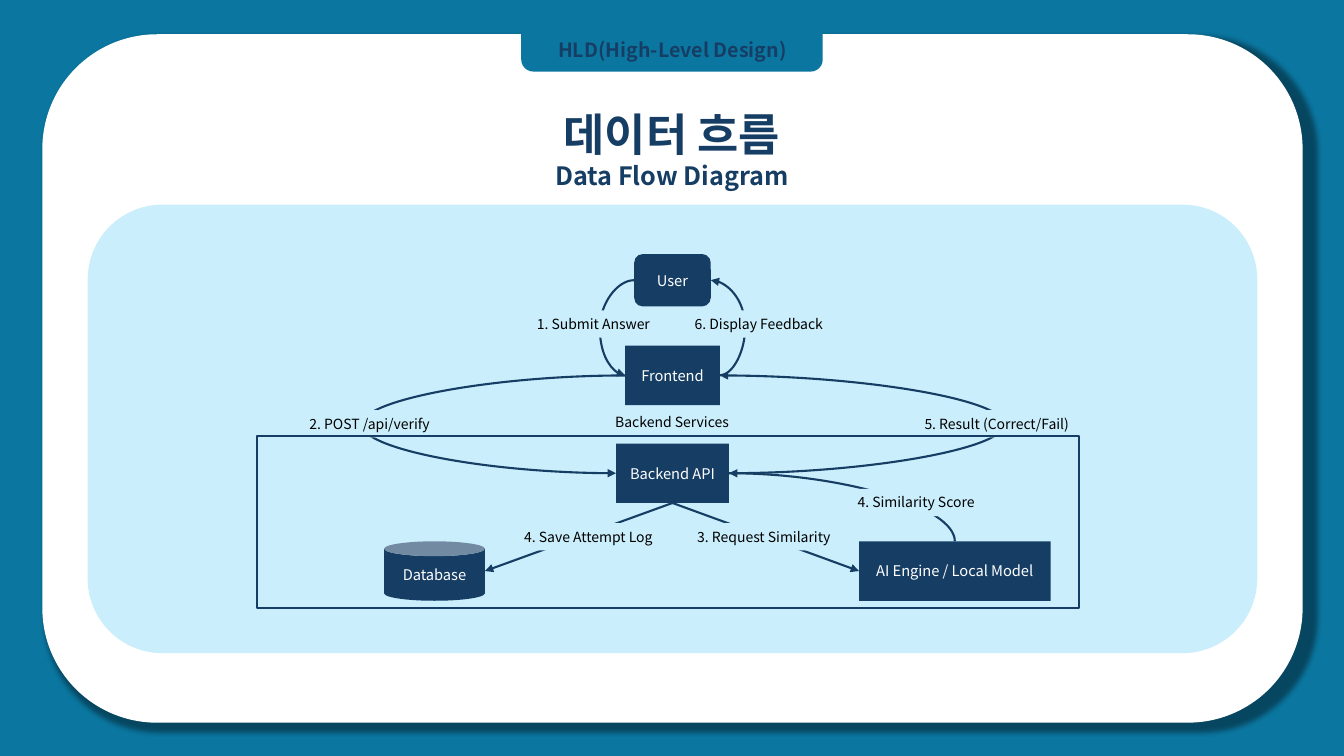
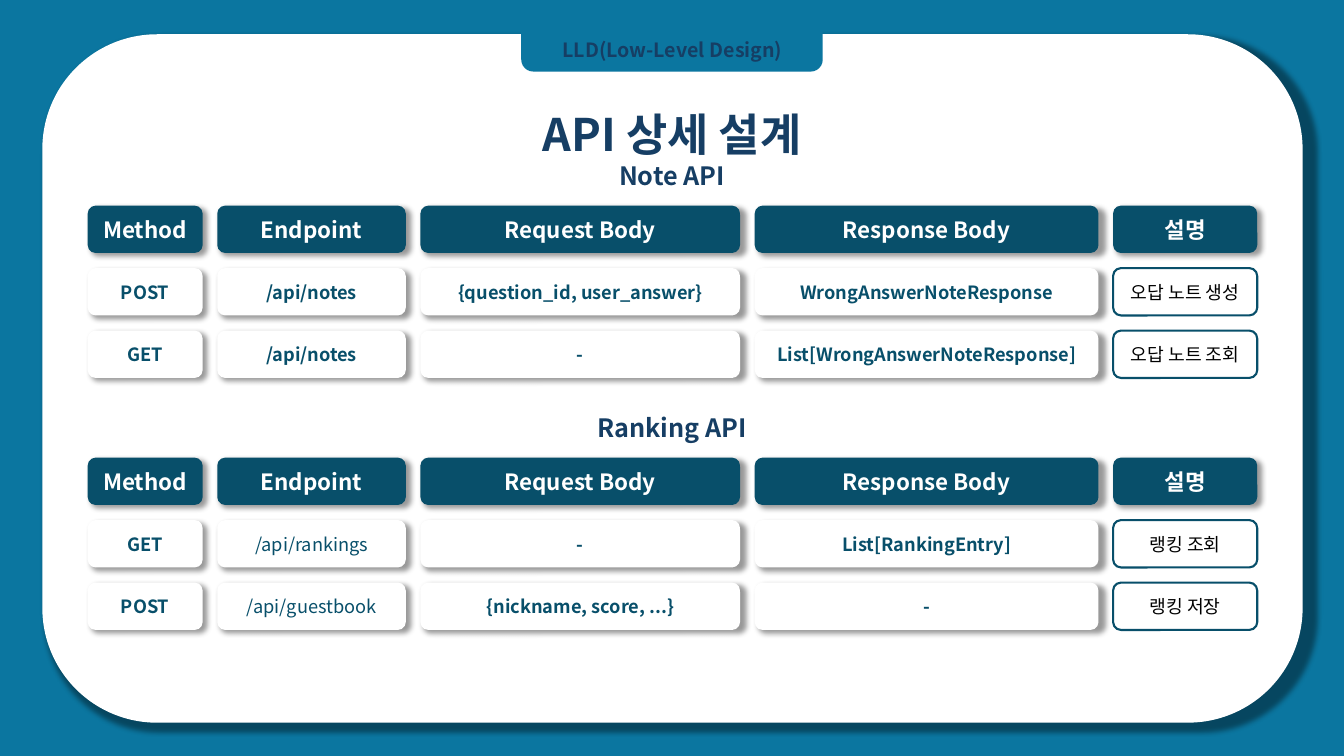
from dataclasses import dataclass
from typing import Optional

from lxml.etree import SubElement
from pptx import Presentation
from pptx.dml.color import RGBColor
from pptx.enum.shapes import MSO_CONNECTOR, MSO_SHAPE
from pptx.enum.text import MSO_ANCHOR, MSO_AUTO_SIZE, PP_ALIGN
from pptx.oxml.ns import qn
from pptx.util import Inches, Pt

FONT = "Noto Sans CJK KR"
COLORS = {
    "blue": "0B76A0",
    "teal": "084F6A",
    "navy": "163E64",
    "sky": "CAEEFB",
    "white": "FFFFFF",
    "black": "000000",
}
TOP, LEFT, BOTTOM, RIGHT = range(4)


@dataclass(frozen=True)
class Box:
    x: float
    y: float
    w: float
    h: float

    def lengths(self) -> tuple:
        return tuple(Inches(v) for v in (self.x, self.y, self.w, self.h))

    def side(self, site: int) -> tuple:
        mid_x, mid_y = self.x + self.w / 2, self.y + self.h / 2
        return {
            TOP: (mid_x, self.y),
            LEFT: (self.x, mid_y),
            BOTTOM: (mid_x, self.y + self.h),
            RIGHT: (self.x + self.w, mid_y),
        }[site]


@dataclass(frozen=True)
class Node:
    text: str
    box: Box
    kind: MSO_SHAPE = MSO_SHAPE.RECTANGLE


@dataclass(frozen=True)
class Link:
    start: str
    start_site: int
    end: str
    end_site: int
    bend_x: Optional[float] = None
    corner: bool = False


@dataclass(frozen=True)
class Label:
    text: str
    box: Box


@dataclass(frozen=True)
class ApiTable:
    top: float
    rows: tuple
    bold_endpoint: bool


NODES = {
    "user": Node("User", Box(6.29, 2.52, 0.76, 0.52), MSO_SHAPE.ROUNDED_RECTANGLE),
    "frontend": Node("Frontend", Box(6.2, 3.43, 0.94, 0.59)),
    "backend": Node("Backend API", Box(6.11, 4.4, 1.12, 0.59)),
    "engine": Node("AI Engine / Local Model", Box(8.52, 5.37, 1.9, 0.59)),
    "database": Node("Database", Box(3.81, 5.37, 1, 0.59), MSO_SHAPE.CAN),
}
LINKS = [
    Link("user", LEFT, "frontend", LEFT, 5.95),
    Link("frontend", LEFT, "backend", LEFT, 3.59),
    Link("backend", BOTTOM, "database", RIGHT),
    Link("backend", BOTTOM, "engine", LEFT),
    Link("engine", TOP, "backend", RIGHT, corner=True),
    Link("backend", RIGHT, "frontend", RIGHT, 9.96),
    Link("frontend", RIGHT, "user", RIGHT, 7.39),
]
LABELS = [
    Label("1. Submit Answer", Box(5.1, 3.08, 1.57, 0.27)),
    Label("2. POST /api/verify", Box(2.88, 4.07, 1.57, 0.27)),
    Label("3. Request Similarity", Box(6.67, 5.19, 1.81, 0.27)),
    Label("4. Save Attempt Log", Box(4.93, 5.19, 1.81, 0.27)),
    Label("4. Similarity Score", Box(8.18, 4.85, 1.81, 0.27)),
    Label("5. Result (Correct/Fail)", Box(8.98, 4.07, 1.81, 0.27)),
    Label("6. Display Feedback", Box(6.74, 3.08, 1.57, 0.27)),
]
HEADERS = ("Method", "Endpoint", "Request Body", "Response Body", "설명")
WIDTHS = (1.14, 1.87, 3.17, 3.41, 1.43)
TABLE_LEFT, TABLE_WIDTH = 0.87, 11.6
CARD_HEIGHT, ROW_PITCH = 0.47, 0.62
TABLES = [
    ApiTable(2.04, (
        ("POST", "/api/notes", "{question_id, user_answer}", "WrongAnswerNoteResponse", "오답 노트 생성"),
        ("GET", "/api/notes", "-", "List[WrongAnswerNoteResponse]", "오답 노트 조회"),
    ), True),
    ApiTable(4.54, (
        ("GET", "/api/rankings", "-", "List[RankingEntry]", "랭킹 조회"),
        ("POST", "/api/guestbook", "{nickname, score, ...}", "-", "랭킹 저장"),
    ), False),
]


def rgb(name: str) -> RGBColor:
    return RGBColor.from_string(COLORS[name])


def write(p, text: str, *, size: float, color: str, bold: bool = False) -> None:
    p.alignment = PP_ALIGN.CENTER
    p.line_spacing = 1.0
    p.space_before = Pt(0)
    r = p.add_run()
    r.text = text
    r.font.size = Pt(size)
    r.font.bold = bold
    r.font.name = FONT
    r.font.color.rgb = rgb(color)
    SubElement(r.font._element, qn("a:ea")).set("typeface", FONT)


def set_frame(sp, *, anchor=MSO_ANCHOR.TOP, fit=MSO_AUTO_SIZE.SHAPE_TO_FIT_TEXT):
    tf = sp.text_frame
    tf.word_wrap = True
    tf.vertical_anchor = anchor
    tf.auto_size = fit
    return tf


def add_shadow(sp) -> None:
    effects = sp._element.spPr.find(qn("a:effectLst"))
    shadow = SubElement(effects, qn("a:outerShdw"), {
        "blurRad": str(Pt(4)), "dist": str(Pt(3)), "dir": "2700000",
        "sx": "101000", "sy": "101000", "algn": "tl", "rotWithShape": "0",
    })
    tint = SubElement(shadow, qn("a:srgbClr"), {"val": COLORS["black"]})
    SubElement(tint, qn("a:alpha"), {"val": "40000"})


def add_box(slide, kind, box: Box, *, fill: Optional[str] = None,
            line: Optional[str] = None, shadow: bool = False):
    sp = slide.shapes.add_shape(kind, *box.lengths())
    sp.shadow.inherit = False
    if fill:
        sp.fill.solid()
        sp.fill.fore_color.rgb = rgb(fill)
    else:
        sp.fill.background()
    if line:
        sp.line.color.rgb = rgb(line)
        sp.line.width = Pt(1.5)
    else:
        sp.line.fill.background()
    if shadow:
        add_shadow(sp)
    return sp


def add_text(slide, text: str, box: Box, **style) -> None:
    sp = slide.shapes.add_textbox(*box.lengths())
    write(set_frame(sp).paragraphs[0], text, **style)


def add_link(slide, link: Link, shapes: dict) -> None:
    start = NODES[link.start].box.side(link.start_site)
    end = NODES[link.end].box.side(link.end_site)
    curved = link.corner or link.bend_x is not None
    kind = MSO_CONNECTOR.CURVE if curved else MSO_CONNECTOR.STRAIGHT
    c = slide.shapes.add_connector(kind, *(Inches(v) for v in start + end))
    c.begin_connect(shapes[link.start], link.start_site)
    if NODES[link.end].kind != MSO_SHAPE.CAN:
        c.end_connect(shapes[link.end], link.end_site)
    c.line.color.rgb = rgb("navy")
    c.line.width = Pt(1.5)
    sp_pr = c._element.spPr
    SubElement(sp_pr.find(qn("a:ln")), qn("a:tailEnd"), {"type": "triangle"})
    SubElement(sp_pr, qn("a:effectLst"))
    geom = sp_pr.find(qn("a:prstGeom"))
    if link.bend_x is not None:
        ratio = (start[0] - link.bend_x) / (start[0] - end[0])
        guides = geom.find(qn("a:avLst"))
        SubElement(guides, qn("a:gd"), {"name": "adj1", "fmla": f"val {round(ratio * 100000)}"})
    if link.corner:
        geom.set("prst", "curvedConnector2")
        mid_x, mid_y = c.left + c.width // 2, c.top + c.height // 2
        c.width, c.height = c.height, c.width
        c.left, c.top = mid_x - c.width // 2, mid_y - c.height // 2
        xfrm = sp_pr.find(qn("a:xfrm"))
        xfrm.set("rot", "16200000")
        xfrm.set("flipH", "0")
        xfrm.set("flipV", "1")


def add_frame(prs, tag: str, title: str, subtitle: str):
    s = prs.slides.add_slide(prs.slide_layouts[5])
    heading = s.shapes.title
    panel = add_box(s, MSO_SHAPE.ROUNDED_RECTANGLE, Box(0.42, 0.34, 12.5, 6.83), fill="white", shadow=True)
    band = add_box(s, MSO_SHAPE.ROUND_2_SAME_RECTANGLE, Box(5.17, 0, 2.99, 0.71), fill="blue")
    band.rotation = 180
    add_text(s, tag, Box(5.3, 0.33, 2.74, 0.34), size=14, color="navy", bold=True)
    panel._element.addnext(heading._element)
    heading.left, heading.top, heading.width, heading.height = Box(4.25, 1.01, 4.83, 0.94).lengths()
    tf = set_frame(heading)
    write(tf.paragraphs[0], title, size=32, color="navy", bold=True)
    write(tf.add_paragraph(), subtitle, size=18, color="navy", bold=True)
    return s


def build_data_flow(prs) -> None:
    s = add_frame(prs, "HLD(High-Level Design)", "데이터 흐름", "Data Flow Diagram")
    add_box(s, MSO_SHAPE.ROUNDED_RECTANGLE, Box(0.87, 2.03, 11.6, 4.45), fill="sky")
    shapes = {}
    for key, node in NODES.items():
        sp = add_box(s, node.kind, node.box, fill="navy")
        tf = set_frame(sp, anchor=MSO_ANCHOR.MIDDLE, fit=MSO_AUTO_SIZE.NONE)
        write(tf.paragraphs[0], node.text, size=10.5, color="white")
        shapes[key] = sp
    for link in LINKS:
        add_link(s, link, shapes)
    for label in LABELS:
        sp = add_box(s, MSO_SHAPE.RECTANGLE, label.box, fill="sky")
        write(set_frame(sp).paragraphs[0], label.text, size=10, color="black")
    add_box(s, MSO_SHAPE.RECTANGLE, Box(2.55, 4.33, 8.15, 1.7), line="navy")
    add_text(s, "Backend Services", Box(5.76, 4.05, 1.81, 0.27), size=10, color="black")


def add_card(slide, text: str, box: Box, *, fill: Optional[str], **style) -> None:
    sp = add_box(slide, MSO_SHAPE.ROUNDED_RECTANGLE, box, fill=fill,
                 line=None if fill else "teal", shadow=fill is not None)
    tf = set_frame(sp, anchor=MSO_ANCHOR.MIDDLE, fit=MSO_AUTO_SIZE.NONE)
    write(tf.paragraphs[0], text, **style)


def add_api_table(slide, table: ApiTable) -> None:
    gap = (TABLE_WIDTH - sum(WIDTHS)) / (len(WIDTHS) - 1)
    for i, row in enumerate((HEADERS,) + table.rows):
        x = TABLE_LEFT
        for header, text, width in zip(HEADERS, row, WIDTHS):
            box = Box(x, table.top + i * ROW_PITCH, width, CARD_HEIGHT)
            if i == 0:
                add_card(slide, text, box, fill="teal", size=16, color="white", bold=True)
            elif header == HEADERS[-1]:
                add_card(slide, text, box, fill=None, size=13, color="black")
            else:
                bold = table.bold_endpoint or header != "Endpoint"
                add_card(slide, text, box, fill="white", size=13, color="teal", bold=bold)
            x += width + gap


def build_api_design(prs) -> None:
    s = add_frame(prs, "LLD(Low-Level Design)", "API 상세 설계", "Note API")
    for table in TABLES:
        add_api_table(s, table)
    add_text(s, "Ranking API", Box(5.38, 4.04, 2.57, 0.4), size=18, color="navy", bold=True)


def main() -> None:
    prs = Presentation()
    prs.slide_width, prs.slide_height = Inches(13.33), Inches(7.5)
    background = prs.slide_master.background.fill
    background.solid()
    background.fore_color.rgb = rgb("blue")
    build_data_flow(prs)
    build_api_design(prs)
    prs.save("out.pptx")


if __name__ == "__main__":
    main()
